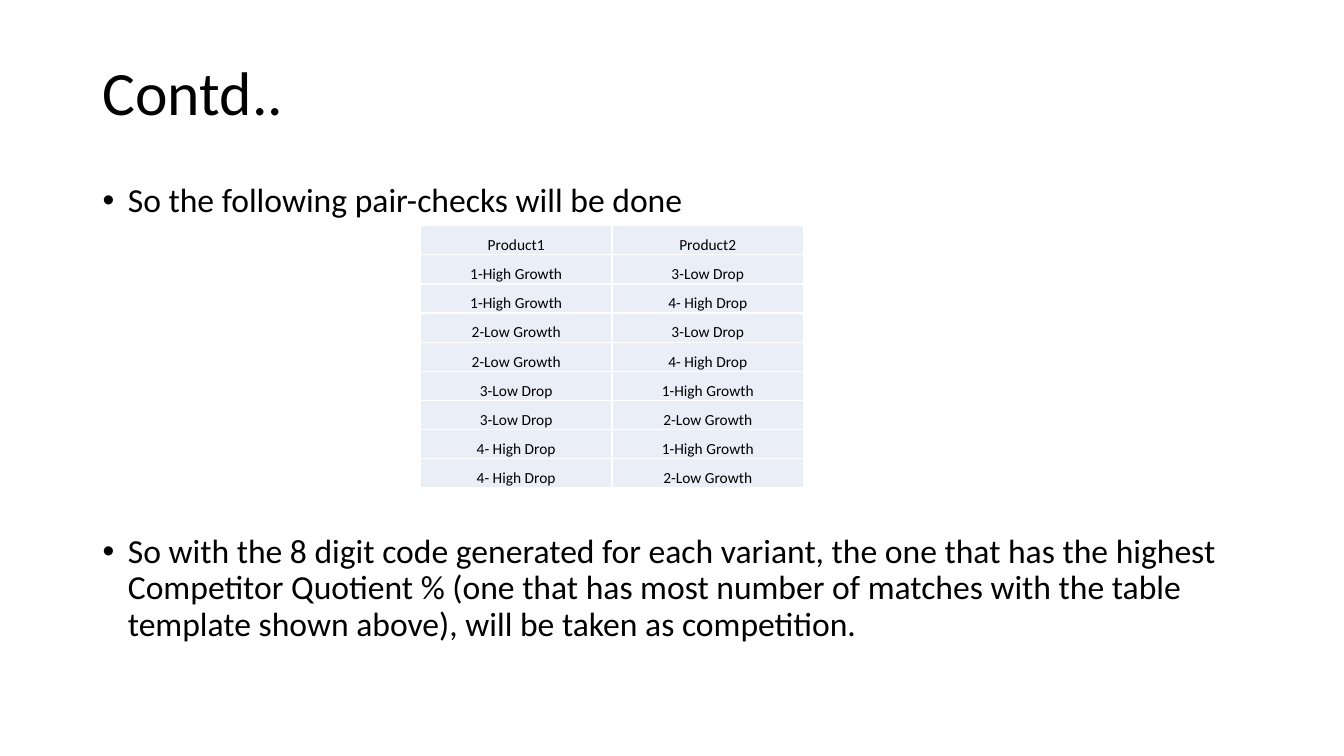
from lxml import etree
from pptx import Presentation
from pptx.dml.color import RGBColor
from pptx.enum.text import MSO_ANCHOR, PP_ALIGN
from pptx.oxml.ns import qn
from pptx.util import Inches, Pt

MIDDLE, BOTTOM, TOP = MSO_ANCHOR.MIDDLE, MSO_ANCHOR.BOTTOM, MSO_ANCHOR.TOP
CENTER = PP_ALIGN.CENTER
FONT, BLACK, WHITE, CELL_FILL = "Calibri", "000000", "FFFFFF", "EAEFF7"

# Content
TITLE = "Contd.."
BULLETS = [  # text, space before in points (the second leaves room for the table)
    ("So the following pair-checks will be done", 10),
    ("So with the 8 digit code generated for each variant, the one that has "
     "the highest Competitor Quotient % (one that has most number of matches "
     "with the table template shown above), will be taken as competition.", 225),
]
PAIRS = [
    ("Product1", "Product2"),
    ("1-High Growth", "3-Low Drop"),
    ("1-High Growth", "4- High Drop"),
    ("2-Low Growth", "3-Low Drop"),
    ("2-Low Growth", "4- High Drop"),
    ("3-Low Drop", "1-High Growth"),
    ("3-Low Drop", "2-Low Growth"),
    ("4- High Drop", "1-High Growth"),
    ("4- High Drop", "2-Low Growth"),
]
COLUMN_WIDTH, TABLE_HEIGHT = 1.9, 2.6


def color(hex_value):
    return RGBColor.from_string(hex_value)


def style(paragraph, size):
    paragraph.font.name = FONT
    paragraph.font.size = Pt(size)
    paragraph.font.color.rgb = color(BLACK)


def add_text_frame(slide, top, height, anchor):
    box = slide.shapes.add_textbox(Inches(0.92), Inches(top), Inches(11.5), Inches(height))
    frame = box.text_frame
    frame.word_wrap = True
    frame.vertical_anchor = anchor
    return frame


def add_bullet(paragraph):
    properties = paragraph._p.get_or_add_pPr()
    properties.set("marL", str(Inches(0.25)))
    properties.set("indent", str(Inches(-0.25)))
    etree.SubElement(properties, qn("a:buFont"), typeface="Arial")
    etree.SubElement(properties, qn("a:buChar"), char="•")


def add_borders(cell):
    properties = cell._tc.get_or_add_tcPr()
    for index, side in enumerate(("lnL", "lnR", "lnT", "lnB")):
        line = etree.Element(qn(f"a:{side}"), w=str(Pt(1)))
        fill = etree.SubElement(line, qn("a:solidFill"))
        etree.SubElement(fill, qn("a:srgbClr"), val=WHITE)
        properties.insert(index, line)


presentation = Presentation()
presentation.slide_width, presentation.slide_height = Inches(13.33), Inches(7.5)
slide = presentation.slides.add_slide(presentation.slide_layouts[6])

# Title
paragraph = add_text_frame(slide, 0.4, 1.09, MIDDLE).paragraphs[0]
paragraph.text = TITLE
paragraph.line_spacing = 0.9
style(paragraph, 44)

# Bullets above and below the table
frame = add_text_frame(slide, 1.77, 4.99, TOP)
for index, (text, space_before) in enumerate(BULLETS):
    paragraph = frame.add_paragraph() if index else frame.paragraphs[0]
    paragraph.text = text
    paragraph.line_spacing = 0.9
    paragraph.space_before = Pt(space_before)
    style(paragraph, 24)
    add_bullet(paragraph)

# Table of pair-checks
table = slide.shapes.add_table(
    len(PAIRS), 2, Inches(4.17), Inches(2.24),
    Inches(2 * COLUMN_WIDTH), Inches(TABLE_HEIGHT)).table
for row_index, pair in enumerate(PAIRS):
    for column_index, text in enumerate(pair):
        cell = table.cell(row_index, column_index)
        cell.text = text
        cell.vertical_anchor = BOTTOM
        cell.margin_left = cell.margin_right = cell.margin_top = Inches(0.01)
        cell.margin_bottom = 0
        cell.fill.solid()
        cell.fill.fore_color.rgb = color(CELL_FILL)
        add_borders(cell)
        paragraph = cell.text_frame.paragraphs[0]
        paragraph.alignment = CENTER
        style(paragraph, 11)
        paragraph.font.bold = False

presentation.save("out.pptx")
